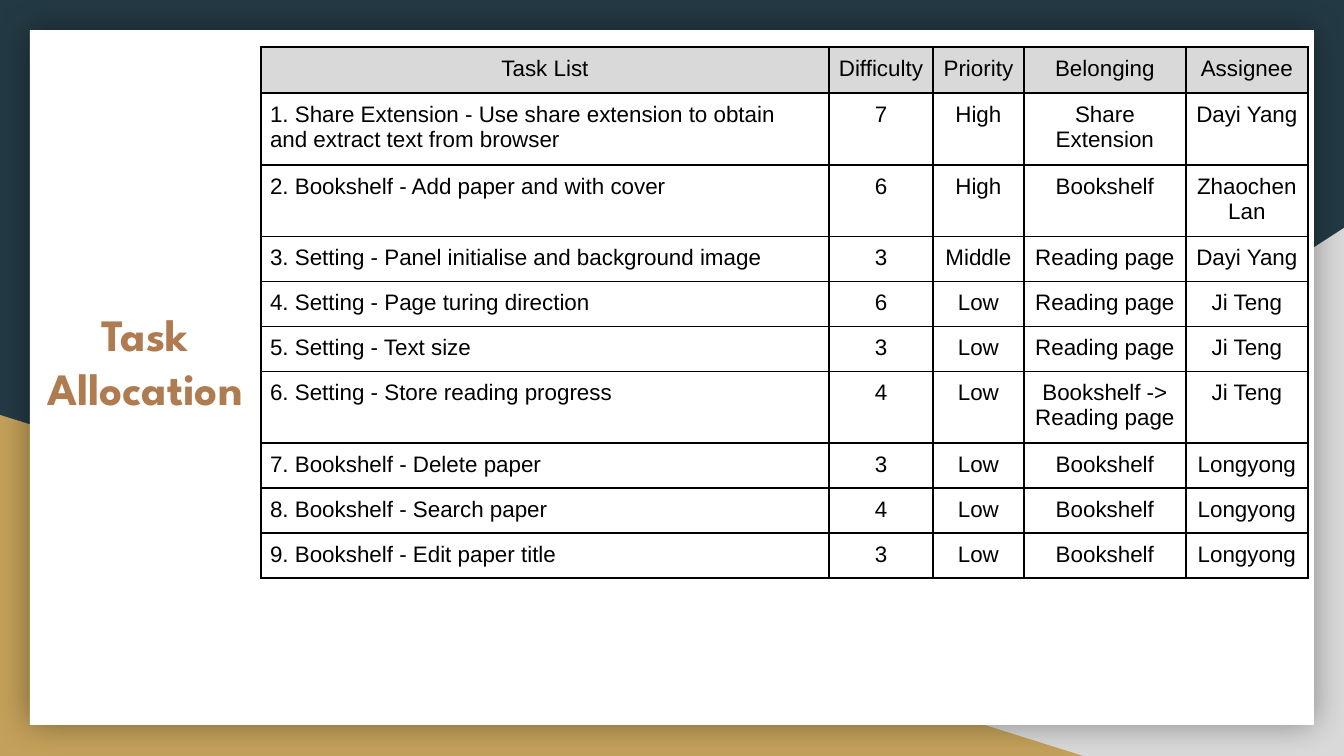
from dataclasses import dataclass

import pptx
import pptx.dml.color
import pptx.enum.shapes
import pptx.enum.text
import pptx.oxml
import pptx.oxml.ns
import pptx.util
from lxml import etree

SCALE = 914400 / 134.4
SHAPE = pptx.enum.shapes.MSO_SHAPE
ALIGN = pptx.enum.text.PP_ALIGN
BLACK, GREY, WHITE = "000000", "D9D9D9", "FFFFFF"
PAD = 9


@dataclass
class Panel:
    kind: int
    left: int
    top: int
    width: int
    height: int
    color: str
    flip: bool = False
    glow: bool = False


@dataclass
class Task:
    name: str
    level: int
    rank: str
    area: str
    owner: str
    height: int = 44


PANELS = [
    Panel(SHAPE.RIGHT_TRIANGLE, 527, 228, 817, 528, GREY, flip=True),
    Panel(SHAPE.RIGHT_TRIANGLE, 0, 415, 1083, 341, "C4A15A"),
    Panel(SHAPE.RECTANGLE, 30, 30, 1284, 695, WHITE, glow=True),
]
HEADS = ["Task List", "Difficulty", "Priority", "Belonging", "Assignee"]
WIDTHS = [568, 104, 91, 162, 122]
TASKS = [
    Task("1. Share Extension - Use share extension to obtain and extract text "
         "from browser", 7, "High", "Share Extension", "Dayi Yang", 69),
    Task("2. Bookshelf - Add paper and with cover", 6, "High", "Bookshelf",
         "Zhaochen\nLan", 69),
    Task("3. Setting - Panel initialise and background image", 3, "Middle",
         "Reading page", "Dayi Yang"),
    Task("4. Setting - Page turing direction", 6, "Low", "Reading page", "Ji Teng"),
    Task("5. Setting - Text size", 3, "Low", "Reading page", "Ji Teng"),
    Task("6. Setting - Store reading progress", 4, "Low",
         "Bookshelf -> Reading page", "Ji Teng", 69),
    Task("7. Bookshelf - Delete paper", 3, "Low", "Bookshelf", "Longyong"),
    Task("8. Bookshelf - Search paper", 4, "Low", "Bookshelf", "Longyong"),
    Task("9. Bookshelf - Edit paper title", 3, "Low", "Bookshelf", "Longyong"),
]


def px(count: int) -> pptx.util.Emu:
    return pptx.util.Emu(round(count * SCALE))


def rgb(code: str) -> pptx.dml.color.RGBColor:
    return pptx.dml.color.RGBColor.from_string(code)


def style(frame, face: str, size: int, color: str, align, bold: bool = False) -> None:
    for para in frame.paragraphs:
        para.alignment = align
        para.font.name = face
        para.font.size = pptx.util.Pt(size)
        para.font.bold = bold
        para.font.color.rgb = rgb(color)


def add_glow(shape) -> None:
    """Add an even soft shadow around the shape."""
    effects = shape.element.spPr.find(pptx.oxml.ns.qn("a:effectLst"))
    effects.append(pptx.oxml.parse_xml(
        f'<a:outerShdw {pptx.oxml.ns.nsdecls("a")} blurRad="{pptx.util.Pt(18)}" '
        'dist="0" dir="0" algn="ctr" rotWithShape="0">'
        f'<a:srgbClr val="{BLACK}"><a:alpha val="40000"/></a:srgbClr></a:outerShdw>'))


def add_panel(slide, panel: Panel) -> None:
    shape = slide.shapes.add_shape(panel.kind, px(panel.left), px(panel.top),
                                   px(panel.width), px(panel.height))
    shape.shadow.inherit = False
    shape.fill.solid()
    shape.fill.fore_color.rgb = rgb(panel.color)
    shape.line.fill.background()
    if panel.flip:
        shape.element.spPr.xfrm.set("flipH", "1")
    if panel.glow:
        add_glow(shape)


def add_title(slide) -> None:
    box = slide.shapes.add_textbox(px(0), px(294), px(290), px(171))
    frame = box.text_frame
    frame.word_wrap = True
    frame.margin_left = frame.margin_right = px(13)
    frame.margin_top = frame.margin_bottom = px(13)
    frame.text = "Task\nAllocation"
    style(frame, "League Spartan", 24, "AF7B51", ALIGN.CENTER, bold=True)


def add_edges(cell) -> None:
    props = cell._tc.get_or_add_tcPr()
    for side in ("lnL", "lnR", "lnT", "lnB"):
        line = etree.SubElement(props, pptx.oxml.ns.qn(f"a:{side}"),
                                w=str(pptx.util.Pt(1)))
        fill = etree.SubElement(line, pptx.oxml.ns.qn("a:solidFill"))
        etree.SubElement(fill, pptx.oxml.ns.qn("a:srgbClr"), val=BLACK)


def fill_cell(cell, text: str, head: bool, left: bool) -> None:
    cell.margin_left = cell.margin_top = cell.margin_bottom = px(PAD)
    cell.margin_right = px(PAD + 3 if left else PAD)
    cell.text = text
    style(cell.text_frame, "Arial", 12, BLACK, ALIGN.LEFT if left else ALIGN.CENTER)
    add_edges(cell)
    if head:
        cell.fill.solid()
        cell.fill.fore_color.rgb = rgb(GREY)
    else:
        cell.fill.background()


def add_tasks(slide) -> None:
    heights = [46] + [task.height for task in TASKS]
    rows = [HEADS] + [[task.name, str(task.level), task.rank, task.area, task.owner]
                      for task in TASKS]
    table = slide.shapes.add_table(len(rows), len(HEADS), px(261), px(47),
                                   px(sum(WIDTHS)), px(sum(heights))).table
    table.first_row = table.horz_banding = False
    for col, width in zip(table.columns, WIDTHS):
        col.width = px(width)
    for r, (texts, height) in enumerate(zip(rows, heights)):
        table.rows[r].height = px(height)
        for c, text in enumerate(texts):
            fill_cell(table.cell(r, c), text, head=r == 0, left=r > 0 and c == 0)


def main() -> None:
    deck = pptx.Presentation()
    deck.slide_width, deck.slide_height = px(1344), px(756)
    slide = deck.slides.add_slide(deck.slide_layouts[6])
    slide.background.fill.solid()
    slide.background.fill.fore_color.rgb = rgb("233A44")
    for panel in PANELS:
        add_panel(slide, panel)
    add_title(slide)
    add_tasks(slide)
    deck.save("out.pptx")


if __name__ == "__main__":
    main()
